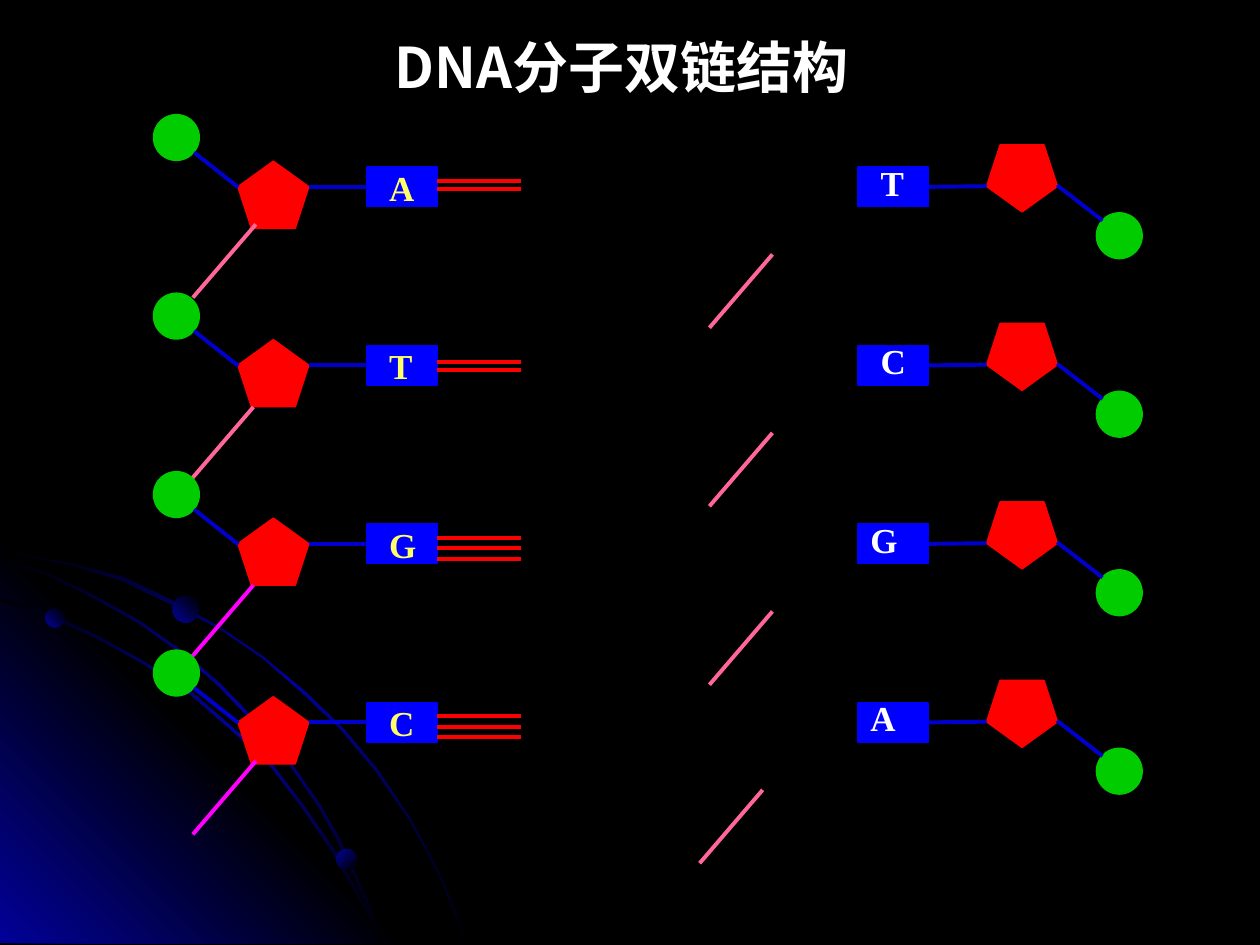
from dataclasses import dataclass
from math import hypot
from typing import NamedTuple

from lxml.etree import SubElement
from pptx import Presentation
from pptx.dml.color import RGBColor
from pptx.enum.shapes import MSO_CONNECTOR, MSO_SHAPE
from pptx.oxml.ns import qn
from pptx.util import Pt


@dataclass(frozen=True)
class Theme:
    black: str = "000000"
    white: str = "FFFFFF"
    glow: str = "010199"
    sugar: str = "FF0000"
    base: str = "0000FF"
    phosphate: str = "00CC00"
    bond: str = "0000CC"
    hydrogen: str = "FF0000"
    pink: str = "FF6699"
    magenta: str = "FF00FF"
    yellow: str = "FFFF66"
    letter_font: str = "Times New Roman"
    title_font: str = "Noto Sans CJK JP"
    letter_size: float = 20
    title_size: float = 32
    outline: float = 1
    stroke: float = 2.25


class Point(NamedTuple):
    x: float
    y: float


class Box(NamedTuple):
    left: float
    top: float
    width: float
    height: float


class Strand(NamedTuple):
    sugar: Box
    base: Box
    phosphate: Box
    rotation: float
    base_site: int
    sugar_joint: Point
    link_start: Point
    link_end: Point


class BasePair(NamedTuple):
    left: str
    right: str
    right_x: float
    bond_count: int
    bond_gap: float
    bond_center: float
    left_link: Point
    left_color: str
    right_link: Point


THEME = Theme()
ROW_PITCH = 102
LINK_RUN, LINK_DROP = -36, 41.9
BAND_WIDTH = 1.5
BOND_START, BOND_END = 249.8, 297.8

LEFT = Strand(Box(136, 92.2, 40.4, 38.2), Box(209.6, 95.6, 40.4, 22.4), Box(87.8, 65.6, 26, 26),
              0, 1, Point(176.4, 106.8), Point(110.9, 87.1), Point(136.2, 107.1))
RIGHT = Strand(Box(563.8, 82.8, 40.4, 38.2), Box(490.2, 95.6, 40.4, 22.4), Box(626.6, 121.7, 26, 26),
               180, 3, Point(563.8, 106.4), Point(630, 126), Point(604.1, 105.9))

PAIRS = [
    BasePair("A", "T", 496.1, 2, 4.6, 105.7, Point(146.2, 128.2), THEME.pink, Point(441.4, 145.4)),
    BasePair("T", "C", 496.1, 2, 4.6, 107.1, Point(144.8, 130.6), THEME.pink, Point(441.4, 145.4)),
    BasePair("G", "G", 490.3, 3, 6, 109.4, Point(144.8, 130.4), THEME.magenta, Point(441.4, 145.4)),
    BasePair("C", "A", 490.3, 3, 6, 109.4, Point(146.2, 128.9), THEME.magenta, Point(435.8, 145.4)),
]

ARCS = [
    [(0, 313.2), (20.2, 317.5), (41, 321.8), (70.6, 330.5), (97.9, 343.4), (125.3, 357.8),
     (150.5, 375.1), (174.2, 394.6), (195.8, 416.2), (216, 439.9), (234, 466.6), (244.1, 484.6),
     (253.4, 502.6), (260.6, 520.6), (267.8, 539.3)],
    [(0, 342), (29.5, 351.4), (56.9, 363.6), (84.2, 378.7), (109.4, 395.3), (132.5, 414.7),
     (154.8, 436.3), (174.2, 460.8), (191.5, 486.7), (205.9, 512.6), (213.1, 525.6), (218.2, 539.3)],
    [(0, 318.2), (28.1, 327.6), (54.7, 340.6), (79.9, 355), (103.7, 371.5), (126, 391),
     (146.9, 412.6), (164.9, 434.2), (182.9, 460.1), (193.7, 478.8), (203, 499), (211.7, 518.4),
     (218.2, 539.3)],
]
CORNER = [(231.8, 539.3), (0, 539.3), (0, 307.4)]
PLANETS = [(Box(25.9, 347.8, 10.8, 10.8), 315), (Box(192.2, 485.3, 11.5, 11.5), 45),
           (Box(98.6, 340.6, 15.1, 15.1), 315)]


def color(value: str) -> RGBColor:
    return RGBColor.from_string(value)


def add_preset(shapes, kind, box: Box):
    shape = shapes.add_shape(kind, *(Pt(length) for length in box))
    shape.shadow.inherit = False
    return shape


def add_solid(shapes, kind, box: Box, fill: str, row_top: float, rotation: float = 0):
    shape = add_preset(shapes, kind, box._replace(top=box.top + row_top))
    shape.rotation = rotation
    shape.fill.solid()
    shape.fill.fore_color.rgb = color(fill)
    shape.line.color.rgb = color(fill)
    shape.line.width = Pt(THEME.outline)
    return shape


def add_line(shapes, start: Point, end: Point, stroke: str, row_top: float = 0):
    connector = shapes.add_connector(MSO_CONNECTOR.STRAIGHT, Pt(start.x), Pt(start.y + row_top),
                                     Pt(end.x), Pt(end.y + row_top))
    connector.line.color.rgb = color(stroke)
    connector.line.width = Pt(THEME.stroke)
    SubElement(connector._element.spPr, qn("a:effectLst"))
    return connector


def add_text(shapes, box: Box, text: str, size: float, font_name: str, ink: str, wrap: bool) -> None:
    text_frame = shapes.add_textbox(*(Pt(length) for length in box)).text_frame
    text_frame.word_wrap = wrap
    text_frame.text = text
    run = text_frame.paragraphs[0].runs[0]
    run.font.size = Pt(size)
    run.font.bold = True
    run.font.color.rgb = color(ink)
    run.font.name = font_name
    SubElement(run._r.get_or_add_rPr(), qn("a:ea"), typeface=font_name)


def paint_gradient(shape, colors: list[str], angle: float) -> None:
    shape.line.fill.background()
    shape.fill.gradient()
    shape.fill.gradient_angle = 360 - angle
    stops = shape._element.spPr.find(".//" + qn("a:gsLst"))
    for stop in list(stops):
        stops.remove(stop)
    for index, value in enumerate(colors):
        position = index * 100000 // (len(colors) - 1)
        stop = SubElement(stops, qn("a:gs"), pos=str(position))
        SubElement(stop, qn("a:srgbClr"), val=value)


def add_outline(shapes, points: list, colors: list[str], angle: float) -> None:
    builder = shapes.build_freeform(*points[0], scale=Pt(1))
    builder.add_line_segments(points[1:], close=True)
    shape = builder.convert_to_shape()
    shape.shadow.inherit = False
    paint_gradient(shape, colors, angle)


def band(outer: list) -> list:
    inner = []
    for index, (x, y) in enumerate(outer):
        before, after = outer[max(index - 1, 0)], outer[min(index + 1, len(outer) - 1)]
        run, drop = after[0] - before[0], after[1] - before[1]
        ratio = BAND_WIDTH / hypot(run, drop)
        inner.append((max(x - drop * ratio, 0), y + run * ratio))
    return outer + inner[::-1]


def draw_backdrop(shapes) -> None:
    rim = [THEME.black, THEME.glow, THEME.black]
    add_outline(shapes, band(ARCS[0]), rim, 45)
    add_outline(shapes, CORNER, [THEME.glow, THEME.black, THEME.glow], 315)
    for arc in ARCS[1:]:
        add_outline(shapes, band(arc), rim, 45)
    for box, angle in PLANETS:
        paint_gradient(add_preset(shapes, MSO_SHAPE.OVAL, box), [THEME.glow, THEME.black], angle)


def draw_nucleotide(slide, strand: Strand, row_top: float) -> None:
    shapes = slide.shapes.add_group_shape().shapes
    add_solid(shapes, MSO_SHAPE.REGULAR_PENTAGON, strand.sugar, THEME.sugar, row_top, strand.rotation)
    base = add_solid(shapes, MSO_SHAPE.RECTANGLE, strand.base, THEME.base, row_top)
    add_solid(shapes, MSO_SHAPE.OVAL, strand.phosphate, THEME.phosphate, row_top)
    joint = add_line(shapes, strand.sugar_joint, strand.sugar_joint, THEME.bond, row_top)
    joint.end_connect(base, strand.base_site)
    add_line(shapes, strand.link_start, strand.link_end, THEME.bond, row_top)


def draw_pair(slide, pair: BasePair, row_top: float) -> None:
    shapes = slide.shapes
    for strand in (LEFT, RIGHT):
        draw_nucleotide(slide, strand, row_top)
    for letter, left, top, ink in ((pair.left, 215.3, 91.4, THEME.yellow),
                                   (pair.right, pair.right_x, 88.5, THEME.white)):
        add_text(shapes, Box(left, top + row_top, 29, 31.7), letter,
                 THEME.letter_size, THEME.letter_font, ink, False)
    for start, stroke in ((pair.left_link, pair.left_color), (pair.right_link, THEME.pink)):
        add_line(shapes, start, Point(start.x + LINK_RUN, start.y + LINK_DROP), stroke, row_top)
    for index in range(pair.bond_count):
        y = pair.bond_center + (index - (pair.bond_count - 1) / 2) * pair.bond_gap
        add_line(shapes, Point(BOND_START, y), Point(BOND_END, y), THEME.hydrogen, row_top)


def main() -> None:
    presentation = Presentation()
    presentation.slide_width, presentation.slide_height = Pt(720), Pt(540)
    slide = presentation.slides.add_slide(presentation.slide_layouts[6])
    slide.background.fill.solid()
    slide.background.fill.fore_color.rgb = color(THEME.black)
    draw_backdrop(slide.shapes)
    for row, pair in enumerate(PAIRS):
        draw_pair(slide, pair, row * ROW_PITCH)
    add_text(slide.shapes, Box(218.2, 15.1, 311.8, 46.1), "DNA分子双链结构",
             THEME.title_size, THEME.title_font, THEME.white, True)
    presentation.save("out.pptx")


if __name__ == "__main__":
    main()
